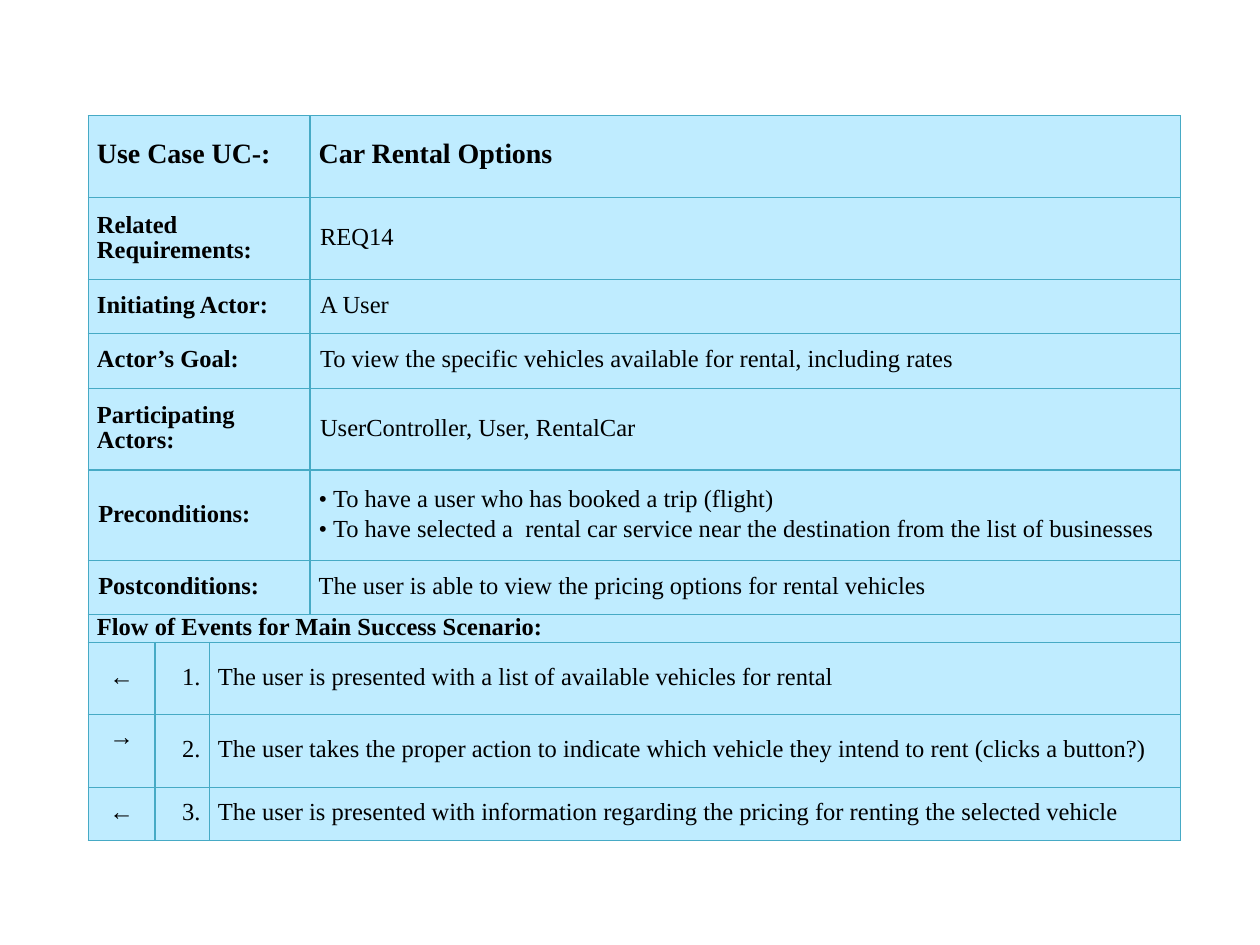
import pptx
import pptx.util
import pptx.dml.color
import pptx.enum.text
import pptx.oxml.ns
import lxml.etree

Inches = pptx.util.Inches
Pt = pptx.util.Pt
RGB = pptx.dml.color.RGBColor.from_string
ALIGN = pptx.enum.text.PP_ALIGN
COLORS = {"fill": "BFECFF", "border": "46AAC5", "text": "000000"}

fields = [
    ("Use Case UC-:", ["Car Rental Options"]),
    ("Related Requirements:", ["REQ14"]),
    ("Initiating Actor:", ["A User"]),
    ("Actor’s Goal:", ["To view the specific vehicles available for rental, including rates"]),
    ("Participating Actors:", ["UserController, User, RentalCar"]),
    ("Preconditions:", [
        "• To have a user who has booked a trip (flight)",
        "• To have selected a  rental car service near the destination from the list of businesses",
    ]),
    ("Postconditions:", ["The user is able to view the pricing options for rental vehicles"]),
]
steps = [
    ("←", "The user is presented with a list of available vehicles for rental"),
    ("→", "The user takes the proper action to indicate which vehicle they intend to rent (clicks a button?)"),
    ("←", "The user is presented with information regarding the pricing for renting the selected vehicle"),
]
column_widths = [0.53, 0.43, 0.8, 6.91]
row_heights = [0.65, 0.65, 0.43, 0.43, 0.65, 0.72, 0.43, 0.22, 0.57, 0.58, 0.42]


def style_cell(cell):
    properties = cell._tc.get_or_add_tcPr()
    for side in ("lnL", "lnR", "lnT", "lnB"):
        line = lxml.etree.SubElement(properties, pptx.oxml.ns.qn("a:" + side), w=str(Pt(0.75)))
        solid = lxml.etree.SubElement(line, pptx.oxml.ns.qn("a:solidFill"))
        lxml.etree.SubElement(solid, pptx.oxml.ns.qn("a:srgbClr"), val=COLORS["border"])
    cell.fill.solid()
    cell.fill.fore_color.rgb = RGB(COLORS["fill"])
    cell.vertical_anchor = pptx.enum.text.MSO_ANCHOR.MIDDLE
    cell.margin_left = cell.margin_right = Inches(0.07)
    cell.margin_top = cell.margin_bottom = 0


def write(cell, lines, size=14, bold=False, align=ALIGN.JUSTIFY, before=0):
    cell.text_frame.text = "\n".join(lines)
    for paragraph in cell.text_frame.paragraphs:
        paragraph.alignment = align
        paragraph.line_spacing = Pt(14)
        paragraph.space_before = Pt(before)
        paragraph.font.name = "Times New Roman"
        paragraph.font.size = Pt(size)
        paragraph.font.bold = bold
        paragraph.font.color.rgb = RGB(COLORS["text"])


deck = pptx.Presentation()
deck.slide_width, deck.slide_height = Inches(10), Inches(7.5)
slide = deck.slides.add_slide(deck.slide_layouts[6])
use_case = slide.shapes.add_table(
    len(row_heights), len(column_widths), Inches(0.7), Inches(0.92),
    Inches(sum(column_widths)), Inches(sum(row_heights))).table
use_case.first_row = use_case.horz_banding = False
for column, width in zip(use_case.columns, column_widths):
    column.width = Inches(width)
for row, height in zip(use_case.rows, row_heights):
    row.height = Inches(height)
for cell in use_case.iter_cells():
    style_cell(cell)
    write(cell, [""], size=8)

for index, (label, values) in enumerate(fields):
    heading = index == 0
    size, before = (16, 6) if heading else (14, 3)
    align = ALIGN.LEFT if heading else ALIGN.JUSTIFY
    use_case.cell(index, 0).merge(use_case.cell(index, 2))
    write(use_case.cell(index, 0), [label], size, True, align, before)
    write(use_case.cell(index, 3), values, size, heading, align, before)
    if 1 <= index <= 4:
        use_case.cell(index, 3).margin_left = Inches(0.08)
        use_case.cell(index, 3).margin_right = Inches(0.04)
    elif index > 4:
        use_case.cell(index, 0).margin_left = Inches(0.08)
        use_case.cell(index, 0).margin_right = Inches(0.02)

flow_row = len(fields)
use_case.cell(flow_row, 0).merge(use_case.cell(flow_row, 3))
write(use_case.cell(flow_row, 0), ["Flow of Events for Main Success Scenario:"], bold=True, before=4)

for number, (arrow, action) in enumerate(steps, 1):
    index = flow_row + number
    use_case.cell(index, 2).merge(use_case.cell(index, 3))
    write(use_case.cell(index, 0), [arrow], align=ALIGN.CENTER)
    write(use_case.cell(index, 1), [f"{number}."], align=ALIGN.RIGHT)
    write(use_case.cell(index, 2), [action])
use_case.cell(flow_row + 2, 0).margin_bottom = Inches(0.19)

deck.save("out.pptx")
